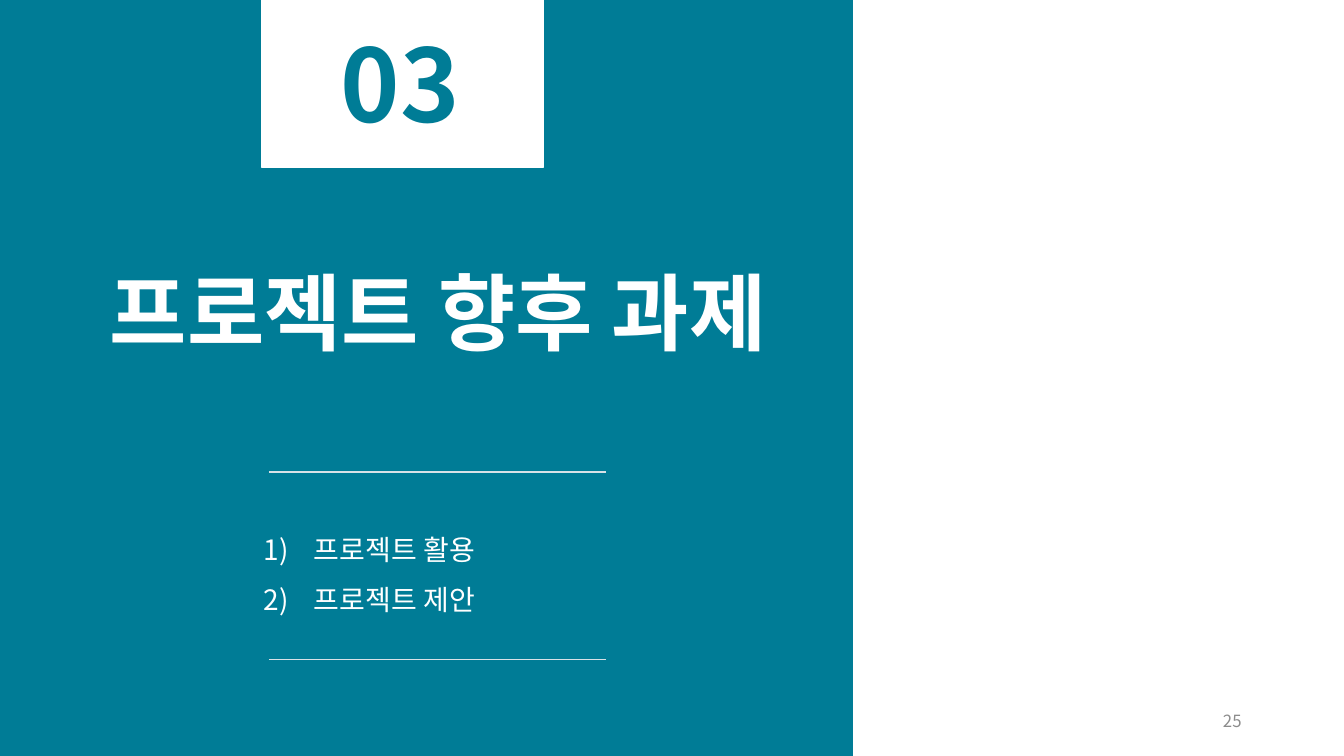
"""Build the divider slide for section 03, on a grid of 160 columns by 90 rows."""
from dataclasses import dataclass

import lxml.etree
import pptx
import pptx.dml.color
import pptx.enum.shapes
import pptx.enum.text
import pptx.oxml.ns
import pptx.util

TEAL = pptx.dml.color.RGBColor(0x00, 0x7C, 0x96)
WHITE = pptx.dml.color.RGBColor(0xFF, 0xFF, 0xFF)
MIST = pptx.dml.color.RGBColor(0xD8, 0xE2, 0xE7)
GREY = pptx.dml.color.RGBColor(0x8C, 0x8C, 0x8C)
FONT = "Noto Sans CJK KR"
WIDTH = pptx.util.Inches(13.33)
HEIGHT = pptx.util.Inches(7.5)
COLUMNS, ROWS = 160, 90
ALIGN = pptx.enum.text.PP_ALIGN
ANCHOR = pptx.enum.text.MSO_ANCHOR


@dataclass(frozen=True)
class Area:
    """A rectangle in grid columns and rows."""
    column: float
    row: float
    columns: float
    rows: float

    def emu(self) -> tuple[int, int, int, int]:
        """Return left, top, width and height in slide units."""
        return (across(self.column), down(self.row), across(self.columns), down(self.rows))


@dataclass(frozen=True)
class Panel:
    """A filled rectangle."""
    area: Area
    color: pptx.dml.color.RGBColor


@dataclass(frozen=True)
class Label:
    """A block of text with one style."""
    area: Area
    lines: tuple[str, ...]
    size: float
    color: pptx.dml.color.RGBColor
    bold: bool = False
    align: ALIGN = ALIGN.LEFT
    anchor: ANCHOR = ANCHOR.MIDDLE
    spacing: float = 1.0
    numbered: bool = False


PANELS = (
    Panel(Area(0, 0, 101.5, ROWS), TEAL),
    Panel(Area(31.1, -0.1, 33.6, 20), WHITE),
)
TITLE = Label(Area(4.2, 26, 95.9, 23.6), ("프로젝트 향후 과제",), 60, WHITE,
              bold=True, align=ALIGN.CENTER, spacing=0.9)
TOPICS = Label(Area(30.2, 56.2, 59.4, 22.3), ("프로젝트 활용", "프로젝트 제안"), 20, WHITE,
               spacing=1.5, numbered=True)
LABELS = (
    Label(Area(39.4, 2, 17, 15.7), ("03",), 72, TEAL, bold=True, anchor=ANCHOR.TOP),
    TOPICS,
    Label(Area(113, 83.4, 36, 4.8), ("25",), 12, GREY, align=ALIGN.RIGHT),
)
RULE_START, RULE_END = 32, 72.2
RULE_ROWS = (TOPICS.area.row, TOPICS.area.row + TOPICS.area.rows)


def across(columns: float) -> int:
    """Convert grid columns to slide units."""
    return round(WIDTH * columns / COLUMNS)


def down(rows: float) -> int:
    """Convert grid rows to slide units."""
    return round(HEIGHT * rows / ROWS)


def add_panel(page: pptx.slide.Slide, panel: Panel) -> None:
    """Draw a filled rectangle with a line of the same colour."""
    box = page.shapes.add_shape(pptx.enum.shapes.MSO_SHAPE.RECTANGLE, *panel.area.emu())
    box.shadow.inherit = False
    box.fill.solid()
    box.fill.fore_color.rgb = panel.color
    box.line.color.rgb = panel.color
    box.line.width = pptx.util.Pt(1)


def number_paragraph(para: pptx.text.text._Paragraph) -> None:
    """Give a paragraph an automatic number and a hanging indent."""
    properties = para._p.get_or_add_pPr()
    indent = pptx.util.Inches(0.5)
    properties.set("marL", str(indent))
    properties.set("indent", str(-indent))
    lxml.etree.SubElement(properties, pptx.oxml.ns.qn("a:buFont"), typeface="+mj-lt")
    lxml.etree.SubElement(properties, pptx.oxml.ns.qn("a:buAutoNum"), type="arabicParenR")


def write_label(box: pptx.shapes.base.BaseShape, label: Label) -> None:
    """Place a text shape, then fill and format it."""
    box.left, box.top, box.width, box.height = label.area.emu()
    frame = box.text_frame
    frame.text = "\n".join(label.lines)
    frame.word_wrap = True
    frame.auto_size = pptx.enum.text.MSO_AUTO_SIZE.NONE
    frame.vertical_anchor = label.anchor
    for para in frame.paragraphs:
        para.alignment = label.align
        para.line_spacing = label.spacing
        if label.numbered:
            number_paragraph(para)
        for span in para.runs:
            span.font.name = FONT
            span.font.size = pptx.util.Pt(label.size)
            span.font.bold = label.bold
            span.font.color.rgb = label.color
            lxml.etree.SubElement(span.font._element, pptx.oxml.ns.qn("a:ea"), typeface=FONT)


def add_rule(page: pptx.slide.Slide, row: float) -> None:
    """Draw a thin horizontal rule at a grid row."""
    rule = page.shapes.add_connector(pptx.enum.shapes.MSO_CONNECTOR.STRAIGHT,
                                     across(RULE_START), down(row), across(RULE_END), down(row))
    rule.line.color.rgb = MIST
    rule.line.width = pptx.util.Pt(1)
    lxml.etree.SubElement(rule._element.spPr, pptx.oxml.ns.qn("a:effectLst"))


def main() -> None:
    """Build and save the slide."""
    deck = pptx.Presentation()
    deck.slide_width, deck.slide_height = WIDTH, HEIGHT
    page = deck.slides.add_slide(deck.slide_layouts[5])
    for panel in PANELS:
        add_panel(page, panel)
    title = page.shapes.title
    title.element.getparent().append(title.element)
    write_label(title, TITLE)
    for label in LABELS:
        write_label(page.shapes.add_textbox(*label.area.emu()), label)
    for row in RULE_ROWS:
        add_rule(page, row)
    deck.save("out.pptx")


if __name__ == "__main__":
    main()
